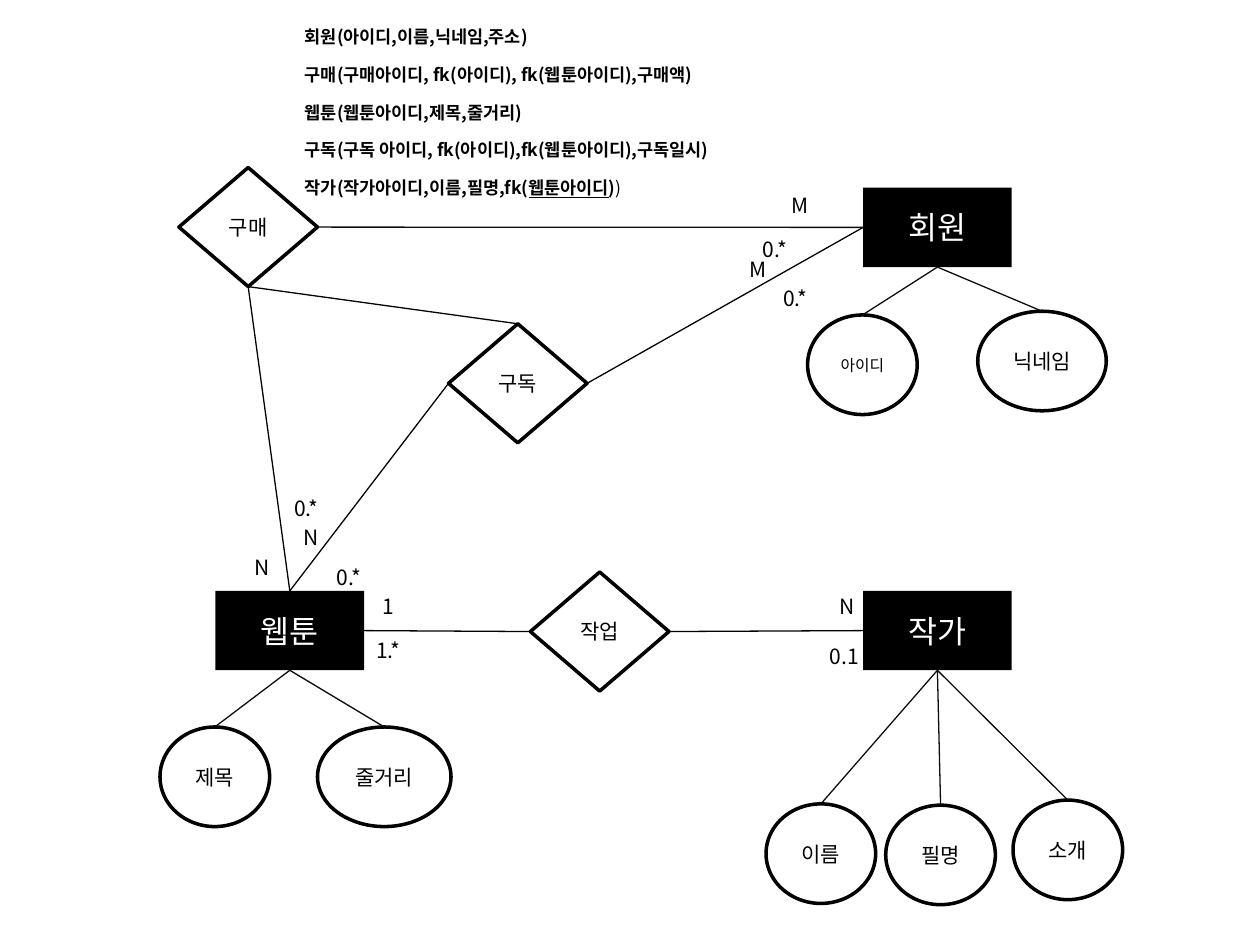
from lxml import etree
from pptx import Presentation
from pptx.dml.color import RGBColor
from pptx.enum.shapes import MSO_CONNECTOR, MSO_SHAPE
from pptx.enum.text import MSO_ANCHOR, MSO_AUTO_SIZE, PP_ALIGN
from pptx.oxml.ns import qn
from pptx.util import Inches, Pt

RECT, OVAL, DIAMOND = MSO_SHAPE.RECTANGLE, MSO_SHAPE.OVAL, MSO_SHAPE.DIAMOND
STRAIGHT = MSO_CONNECTOR.STRAIGHT
MIDDLE, NO_FIT = MSO_ANCHOR.MIDDLE, MSO_AUTO_SIZE.NONE
LEFT_ALIGN, CENTER = PP_ALIGN.LEFT, PP_ALIGN.CENTER
TOP, LEFT, BOTTOM, RIGHT = range(4)  # connection sites
COLORS = {"ink": "000000", "soft": "0D0D0D", "paper": "FFFFFF"}
FONT = "Noto Sans CJK KR"
COLUMNS, ROWS = 100, 75


def color(name):
    """Return a palette colour."""
    return RGBColor.from_string(COLORS[name])


def add_text(paragraph, text, size=12, ink="ink", bold=False,
             underline=False, align=CENTER):
    """Append a formatted run to a paragraph."""
    paragraph.alignment = align
    run = paragraph.add_run()
    run.text = text
    font = run.font
    font.name, font.size = FONT, Pt(size)
    font.bold, font.underline = bold, underline
    font.color.rgb = color(ink)
    east_asian = etree.SubElement(font._element, qn("a:ea"))
    east_asian.set("typeface", FONT)


class Diagram:
    """An entity-relationship slide laid out on a grid."""

    def __init__(self, prs):
        """Add a title-only slide and work out its grid cell."""
        self.slide = prs.slides.add_slide(prs.slide_layouts[5])
        self.shapes = self.slide.shapes
        self.cell_width = prs.slide_width / COLUMNS
        self.cell_height = prs.slide_height / ROWS

    def box(self, column, row, width, height):
        """Turn grid measures into slide lengths."""
        return (round(column * self.cell_width), round(row * self.cell_height),
                round(width * self.cell_width), round(height * self.cell_height))

    def schema(self, lines, *place):
        """Fill the title with one paragraph for each relation."""
        title = self.shapes.title
        title.left, title.top, title.width, title.height = self.box(*place)
        frame = title.text_frame
        frame.word_wrap, frame.auto_size = True, NO_FIT
        frame.vertical_anchor = MIDDLE
        for number, runs in enumerate(lines):
            paragraph = frame.add_paragraph() if number else frame.paragraphs[0]
            paragraph.line_spacing = 1.0
            paragraph.space_before = Pt(9.5 if number else 0)
            for text, style in runs:
                add_text(paragraph, text, size=10, align=LEFT_ALIGN, **style)

    def node(self, kind, text, *place, size=12, filled=False):
        """Draw an entity, attribute or relationship."""
        node = self.shapes.add_shape(kind, *self.box(*place))
        node.shadow.inherit = False
        if filled:
            node.fill.solid()
            node.fill.fore_color.rgb = color("ink")
            node.line.fill.background()
        else:
            node.fill.background()
            node.line.color.rgb = color("ink")
            node.line.width = Pt(2)
        frame = node.text_frame
        frame.margin_left = frame.margin_right = 0
        frame.word_wrap, frame.vertical_anchor = True, MIDDLE
        add_text(frame.paragraphs[0], text, size=size,
                 ink="paper" if filled else "ink")
        return node

    def link(self, start, start_site, end, end_site, ink="ink"):
        """Join two nodes with a straight line."""
        link = self.shapes.add_connector(STRAIGHT, 0, 0, 0, 0)
        link.begin_connect(start, start_site)
        link.end_connect(end, end_site)
        link.line.color.rgb = color(ink)
        link.line.width = Pt(0.75)
        etree.SubElement(link._element.spPr, qn("a:effectLst"))

    def label(self, text, column, row, width, indent=0):
        """Write a cardinality beside a line."""
        label = self.shapes.add_textbox(*self.box(column, row, width, 2.4))
        frame = label.text_frame
        frame.word_wrap, frame.vertical_anchor = False, MIDDLE
        frame.margin_left = Inches(indent)
        frame.margin_right = frame.margin_top = frame.margin_bottom = 0
        add_text(frame.paragraphs[0], text)


ENTITIES = {"웹툰": (17.1, 46.9), "작가": (68.5, 46.9), "회원": (68.5, 14.9)}
ATTRIBUTES = [  # entity, attribute, column, row, width, text size
    ("웹툰", "제목", 12.7, 57.7, 8.7, 12),
    ("웹툰", "줄거리", 25.2, 57.7, 10.6, 12),
    ("작가", "이름", 60.8, 63.8, 8.7, 12),
    ("작가", "필명", 70.3, 63.9, 8.7, 12),
    ("작가", "소개", 80.4, 63.5, 8.7, 12),
    ("회원", "아이디", 64.1, 25, 8.7, 9),
    ("회원", "닉네임", 77.6, 24.7, 10.2, 12),
]
RELATIONSHIPS = {"작업": (42.1, 45.4), "구독": (35.6, 25.7), "구매": (14.2, 13.3)}
LINKS = [
    ("구매", RIGHT, "회원", LEFT, "soft"),
    ("구매", BOTTOM, "구독", TOP, "ink"),
    ("구독", LEFT, "웹툰", TOP, "ink"),
    ("웹툰", RIGHT, "작업", LEFT, "ink"),
    ("작업", RIGHT, "작가", LEFT, "ink"),
    ("구독", RIGHT, "회원", LEFT, "ink"),
    ("구매", BOTTOM, "웹툰", TOP, "ink"),
]
CARDINALITIES = [("1", 29.3, 46.9), ("N", 65.7, 46.9), ("M", 58.7, 20.2),
                 ("N", 23.2, 41.4), ("N", 19.3, 43.8), ("M", 62, 15.1)]
RANGES = [("0.1", 63.6, 50.9), ("1.*", 27.4, 50.4), ("0.*", 59.7, 22.5),
          ("0.*", 24.3, 44.6), ("0.*", 20.9, 39.1), ("0.*", 58.1, 18.6)]
BOLD = {"bold": True}
SCHEMA = [
    [("회원(아이디,이름,닉네임,주소)", BOLD)],
    [("구매(구매아이디, fk(아이디), fk(웹툰아이디),구매액)", BOLD)],
    [("웹툰(웹툰아이디,제목,줄거리)", BOLD)],
    [("구독(구독 아이디, fk(아이디),fk(웹툰아이디),구독일시)", BOLD)],
    [("작가(작가아이디,이름,필명,fk(", BOLD),
     ("웹툰아이디", {"bold": True, "underline": True}), (")", BOLD), (")", {})],
]

prs = Presentation()
prs.slide_width, prs.slide_height = Inches(10), Inches(7.5)
diagram = Diagram(prs)
diagram.schema(SCHEMA, 23.2, 0.8, 41.7, 16.2)
nodes = {name: diagram.node(RECT, name, *corner, 11.8, 6.3, size=18, filled=True)
         for name, corner in ENTITIES.items()}
for entity, name, column, row, width, size in ATTRIBUTES:
    attribute = diagram.node(OVAL, name, column, row, width, 7.9, size=size)
    diagram.link(nodes[entity], BOTTOM, attribute, TOP, "soft")
for name, corner in RELATIONSHIPS.items():
    nodes[name] = diagram.node(DIAMOND, name, *corner, 11, 9.45)
for start, start_site, end, end_site, ink in LINKS:
    diagram.link(nodes[start], start_site, nodes[end], end_site, ink)
for text, column, row in CARDINALITIES:
    diagram.label(text, column, row, 2.4, indent=0.06)
for text, column, row in RANGES:
    diagram.label(text, column, row, 6.8)
prs.save("out.pptx")
